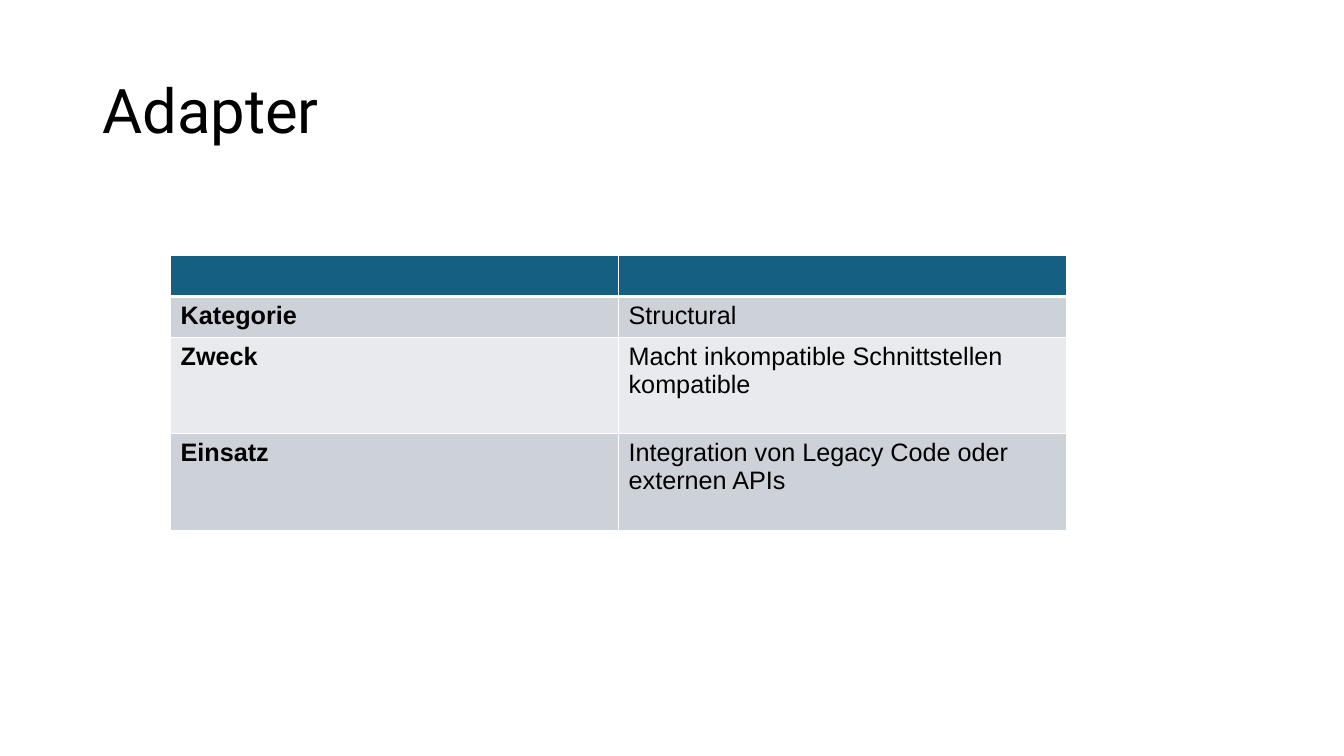
from lxml.etree import SubElement
from pptx import Presentation
from pptx.dml.color import RGBColor as Color
from pptx.enum.text import MSO_ANCHOR as Anchor
from pptx.oxml.ns import qn
from pptx.util import Cm, Pt

COLORS = {
    "text": "000000",
    "header": "156082",
    "band_dark": "CCD2D8",
    "band_light": "E8EAED",
    "border": "FFFFFF",
}
FACTS = [
    ("", ""),
    ("Kategorie", "Structural"),
    ("Zweck", "Macht inkompatible Schnittstellen kompatible"),
    ("Einsatz", "Integration von Legacy Code oder externen APIs"),
]
ROW_HEIGHTS = [1.03, 1.03, 2.43, 2.43]


class SlideBuilder:
    """Adds styled elements to the current slide."""

    title_format = {"name": "Roboto", "size": Pt(44)}
    cell_format = {"name": "Arial", "size": Pt(18)}

    def __init__(self, slide):
        self.slide = slide

    def styled_run(self, paragraph, text, formats):
        run = paragraph.add_run()
        run.text = text
        run.font.color.rgb = Color.from_string(COLORS["text"])
        for name, value in formats.items():
            setattr(run.font, name, value)

    def title(self, text, left, top, width, height):
        shape = self.slide.shapes.add_textbox(Cm(left), Cm(top), Cm(width), Cm(height))
        frame = shape.text_frame
        frame.word_wrap = True
        frame.vertical_anchor = Anchor.MIDDLE
        paragraph = frame.paragraphs[0]
        paragraph.line_spacing = 0.9
        self.styled_run(paragraph, text, self.title_format)

    def borders(self, cell, widths):
        properties = cell._tc.get_or_add_tcPr()
        for side, width in widths.items():
            line = SubElement(properties, qn(f"a:ln{side}"), w=str(Pt(width)))
            fill = SubElement(line, qn("a:solidFill"))
            SubElement(fill, qn("a:srgbClr"), val=COLORS["border"])

    def table(self, rows, heights, left, top, width):
        columns = len(rows[0])
        frame = self.slide.shapes.add_table(
            len(rows), columns, Cm(left), Cm(top), Cm(width), Cm(sum(heights))
        )
        table = frame.table
        for index, (texts, height) in enumerate(zip(rows, heights)):
            table.rows[index].height = Cm(height)
            band = "band_dark" if index % 2 else "band_light"
            color = COLORS[band if index else "header"]
            widths = {
                "L": 1,
                "R": 1,
                "T": 3 if index == 1 else 1,
                "B": 1 if index else 3,
            }
            for column, text in enumerate(texts):
                cell = table.cell(index, column)
                self.borders(cell, widths)
                cell.fill.solid()
                cell.fill.fore_color.rgb = Color.from_string(color)
                if text:
                    formats = {**self.cell_format, "bold": column == 0}
                    self.styled_run(cell.text_frame.paragraphs[0], text, formats)


def main():
    presentation = Presentation()
    presentation.slide_width = Cm(33.87)
    presentation.slide_height = Cm(19.05)
    builder = SlideBuilder(presentation.slides.add_slide(presentation.slide_layouts[6]))
    builder.title("Adapter", 2.33, 1.01, 29.21, 3.68)
    builder.table(FACTS, ROW_HEIGHTS, 4.3, 6.44, 22.58)
    presentation.save("out.pptx")


if __name__ == "__main__":
    main()
